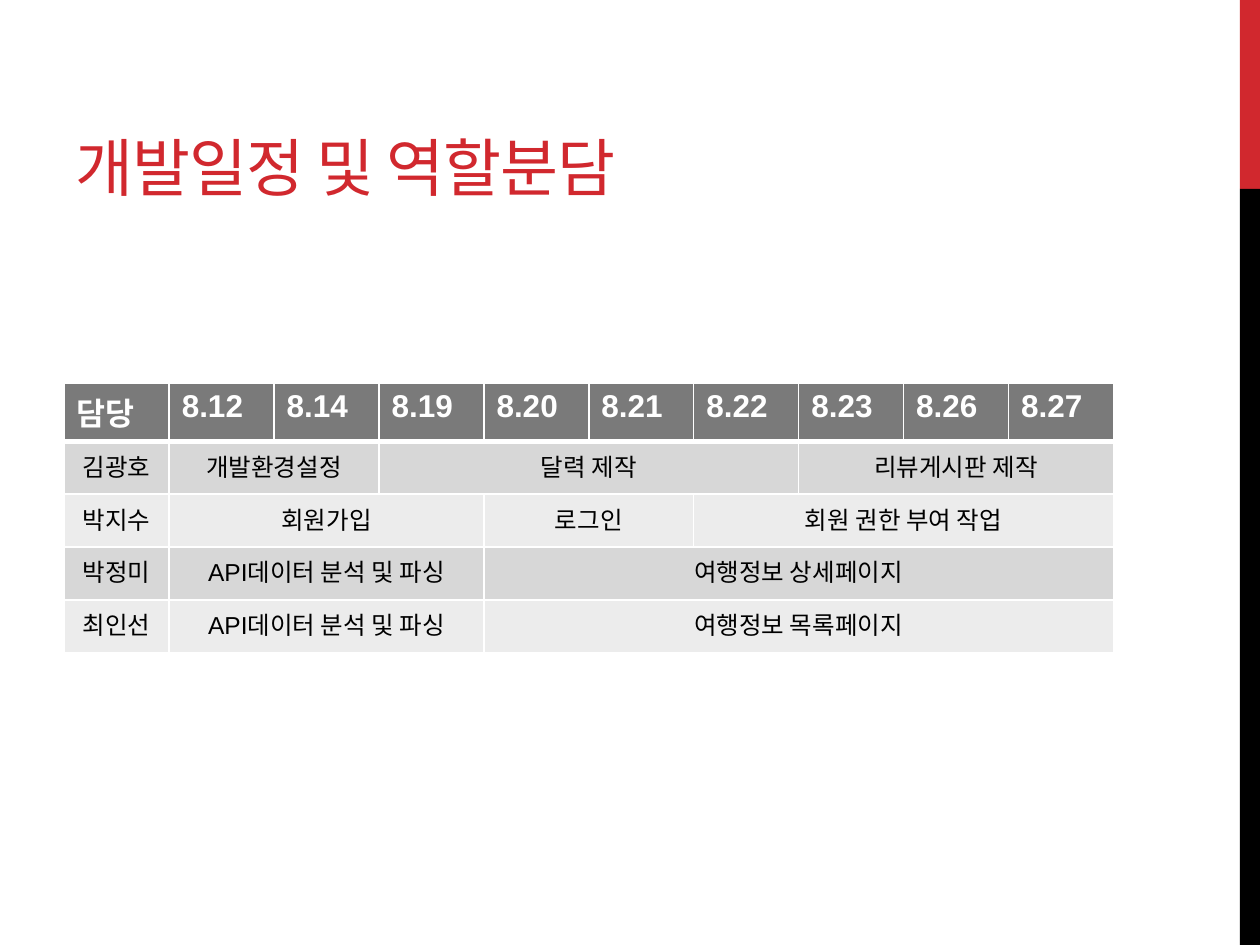
from lxml import etree
from pptx import Presentation
from pptx.dml.color import RGBColor
from pptx.enum.shapes import MSO_SHAPE
from pptx.enum.text import MSO_ANCHOR, MSO_AUTO_SIZE, PP_ALIGN
from pptx.oxml.ns import qn
from pptx.util import Inches, Pt

RED = RGBColor(0xD1, 0x28, 0x2E)
BLACK = RGBColor(0, 0, 0)
WHITE = RGBColor(0xFF, 0xFF, 0xFF)
HEADER_GRAY = RGBColor(0x7A, 0x7A, 0x7A)
BAND_GRAYS = [RGBColor(0xD7, 0xD7, 0xD7), RGBColor(0xEC, 0xEC, 0xEC)]

HEADER_FONT = {"name": "Arial", "size": Pt(18), "bold": True}
TASK_FONT = {"name": "Arial", "size": Pt(14), "bold": False}
TITLE_FONT = {"name": "Montserrat", "size": Pt(36), "bold": False}

DATES = ["8.12", "8.14", "8.19", "8.20", "8.21", "8.22", "8.23", "8.26", "8.27"]
# Each person has tasks of (wording, number of date columns).
SCHEDULE = [
    ("김광호", [("개발환경설정", 2), ("달력 제작", 4), ("리뷰게시판 제작", 3)]),
    ("박지수", [("회원가입", 3), ("로그인", 2), ("회원 권한 부여 작업", 4)]),
    ("박정미", [("API데이터 분석 및 파싱", 3), ("여행정보 상세페이지", 6)]),
    ("최인선", [("API데이터 분석 및 파싱", 3), ("여행정보 목록페이지", 6)]),
]


def format_text(paragraph, font_values, color, alignment):
    paragraph.alignment = alignment
    font = paragraph.runs[0].font
    for attribute, value in font_values.items():
        setattr(font, attribute, value)
    font.color.rgb = color


def style_cell(cell, fill_color, top, bottom):
    """Give the cell white borders (top and bottom in points) and a solid fill."""
    properties = cell._tc.get_or_add_tcPr()
    for side, width in {"L": 1, "R": 1, "T": top, "B": bottom}.items():
        border = etree.SubElement(properties, qn(f"a:ln{side}"), w=str(Pt(width)))
        solid = etree.SubElement(border, qn("a:solidFill"))
        etree.SubElement(solid, qn("a:srgbClr"), val=str(WHITE))
    cell.fill.solid()
    cell.fill.fore_color.rgb = fill_color


prs = Presentation()
prs.slide_width, prs.slide_height = Inches(10), Inches(7.5)
slide = prs.slides.add_slide(prs.slide_layouts[5])

# Side stripe
for top, height, color in [(0, 1.5, RED), (1.5, 6, BLACK)]:
    stripe = slide.shapes.add_shape(
        MSO_SHAPE.RECTANGLE, Inches(9.84), Inches(top), Inches(0.16), Inches(height))
    stripe.shadow.inherit = False
    stripe.fill.solid()
    stripe.fill.fore_color.rgb = color
    stripe.line.fill.background()

# Title
title = slide.shapes.title
title.left, title.top = Inches(0.5), Inches(0.17)
title.width, title.height = Inches(6.33), Inches(1.5)
heading = title.text_frame
heading.text = "개발일정 및 역할분담"
heading.auto_size = MSO_AUTO_SIZE.NONE
heading.vertical_anchor = MSO_ANCHOR.BOTTOM
format_text(heading.paragraphs[0], TITLE_FONT, RED, PP_ALIGN.LEFT)
heading.paragraphs[0].runs[0].font._element.set("spc", "-60")

# Schedule table
row_count, column_count = len(SCHEDULE) + 1, len(DATES) + 1
schedule = slide.shapes.add_table(
    row_count, column_count, Inches(0.51), Inches(3.04), Inches(8.33), Inches(2.13)).table
for column in schedule.columns:
    column.width = Inches(0.833)
for row_index, row in enumerate(schedule.rows):
    is_header = row_index == 0
    row.height = Inches(0.45 if is_header else 0.42)
    fill_color = HEADER_GRAY if is_header else BAND_GRAYS[(row_index - 1) % 2]
    for cell in row.cells:
        style_cell(cell, fill_color, 3 if row_index == 1 else 1, 3 if is_header else 1)

for column_index, label in enumerate(["담당"] + DATES):
    cell = schedule.cell(0, column_index)
    cell.text = label
    format_text(cell.text_frame.paragraphs[0], HEADER_FONT, WHITE, PP_ALIGN.LEFT)

for row_index, (person, tasks) in enumerate(SCHEDULE, start=1):
    column_index = 0
    for label, span in [(person, 1)] + tasks:
        cell = schedule.cell(row_index, column_index)
        if span > 1:
            cell.merge(schedule.cell(row_index, column_index + span - 1))
        cell.text = label
        format_text(cell.text_frame.paragraphs[0], TASK_FONT, BLACK, PP_ALIGN.CENTER)
        column_index += span

prs.save("out.pptx")
